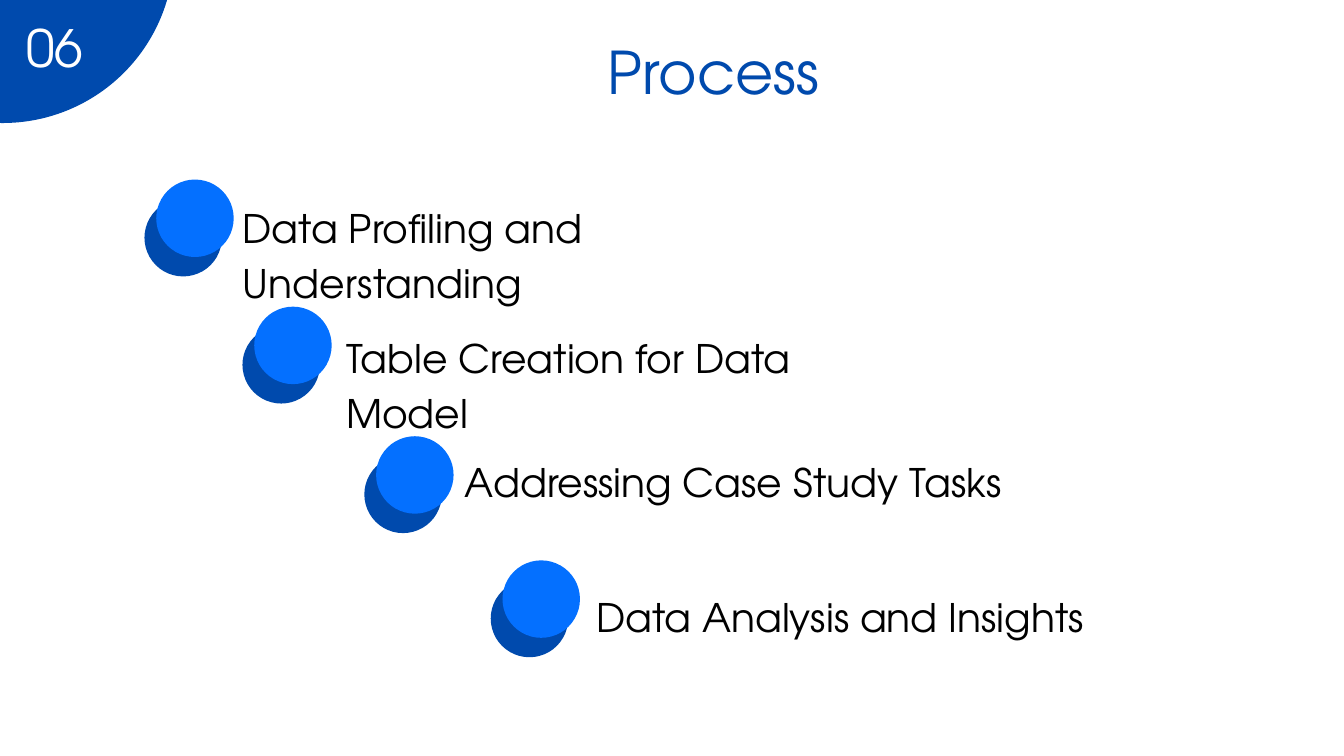
import dataclasses

import pptx
import pptx.dml.color
import pptx.enum.shapes
import pptx.enum.text
import pptx.util

Pt = pptx.util.Pt
ALIGN = pptx.enum.text.PP_ALIGN


@dataclasses.dataclass(frozen=True)
class Theme:
    font: str = "TeX Gyre Adventor"
    navy: str = "004AAD"
    azure: str = "0470FF"
    black: str = "000000"
    white: str = "FFFFFF"
    title_size: float = 63
    number_size: float = 55
    step_size: float = 42.1


class SlideBuilder:
    def __init__(self, presentation, theme):
        self.theme = theme
        self.slide = presentation.slides.add_slide(presentation.slide_layouts[5])

    def circle(self, left, top, diameter, color):
        shape = self.slide.shapes.add_shape(
            pptx.enum.shapes.MSO_SHAPE.OVAL, Pt(left), Pt(top), Pt(diameter), Pt(diameter)
        )
        shape.shadow.inherit = False
        shape.fill.solid()
        shape.fill.fore_color.rgb = pptx.dml.color.RGBColor.from_string(color)
        shape.line.fill.background()

    def set_text(self, shape, text, size, color, line_spacing, alignment):
        frame = shape.text_frame
        frame.word_wrap = True
        frame.auto_size = pptx.enum.text.MSO_AUTO_SIZE.NONE
        frame.vertical_anchor = pptx.enum.text.MSO_ANCHOR.TOP
        frame.margin_left = frame.margin_right = 0
        frame.margin_top = frame.margin_bottom = 0
        paragraph = frame.paragraphs[0]
        paragraph.text = text
        paragraph.alignment = alignment
        paragraph.line_spacing = Pt(line_spacing)
        paragraph.font.name = self.theme.font
        paragraph.font.size = Pt(size)
        paragraph.font.color.rgb = pptx.dml.color.RGBColor.from_string(color)

    def title(self, text, left, top, width, height):
        shape = self.slide.shapes.title
        shape.left, shape.top = Pt(left), Pt(top)
        shape.width, shape.height = Pt(width), Pt(height)
        self.set_text(shape, text, self.theme.title_size, self.theme.navy, 88.2, ALIGN.CENTER)

    def text(self, text, left, top, width, height, size, color, line_spacing, alignment=ALIGN.LEFT):
        shape = self.slide.shapes.add_textbox(Pt(left), Pt(top), Pt(width), Pt(height))
        self.set_text(shape, text, size, color, line_spacing, alignment)

    def page_number(self, text):
        self.circle(-180.7, -235.4, 367.2, self.theme.navy)
        self.text(text, -18, 6.5, 152.6, 74.2, self.theme.number_size,
                  self.theme.white, 77, ALIGN.CENTER)

    def step(self, text, bullet_left, bullet_top, text_left, text_top, text_width):
        diameter = 83
        self.circle(bullet_left, bullet_top, diameter, self.theme.navy)
        self.circle(bullet_left + 12.6, bullet_top - 20.8, diameter, self.theme.azure)
        self.text(text, text_left, text_top, text_width, 56.2,
                  self.theme.step_size, self.theme.black, 58.9)


STEPS = [
    ("Data Profiling and Understanding", 154.8, 213.2, 260, 210.2, 646.6),
    ("Table Creation for Data Model", 259.8, 349.4, 370.8, 349.2, 604.8),
    ("Addressing Case Study Tasks", 390.4, 488.2, 498.2, 482.4, 741.6),
    ("Data Analysis and Insights", 525.8, 621.2, 638.6, 627.1, 646.6),
]


def main():
    presentation = pptx.Presentation()
    presentation.slide_width = Pt(1440)
    presentation.slide_height = Pt(810)

    builder = SlideBuilder(presentation, Theme())
    builder.page_number("06")
    builder.title("Process", 316.8, 25.2, 895, 85)
    for step in STEPS:
        builder.step(*step)

    presentation.save("out.pptx")


if __name__ == "__main__":
    main()
